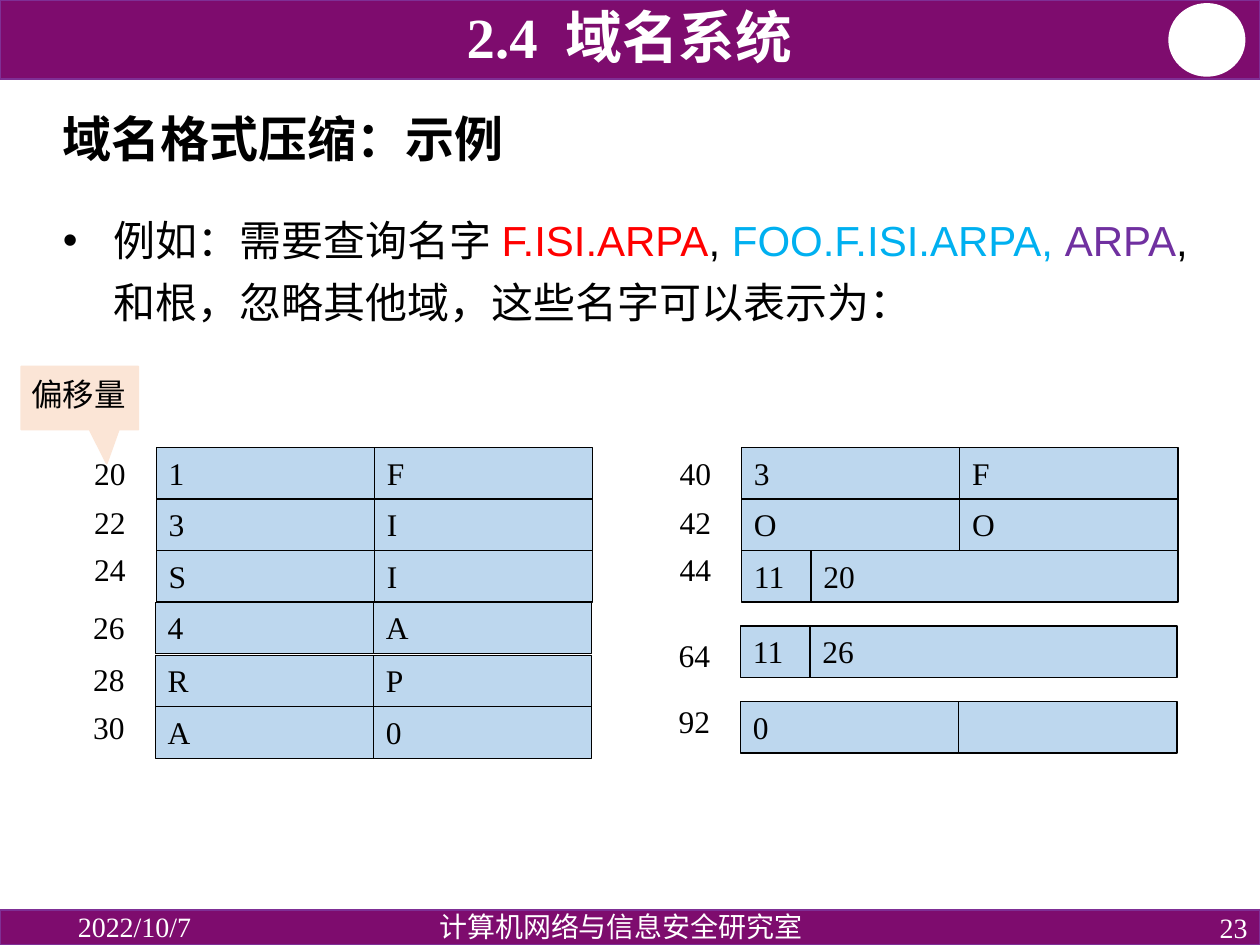
from dataclasses import dataclass

from lxml.etree import SubElement
from pptx import Presentation
from pptx.dml.color import RGBColor
from pptx.enum.shapes import MSO_SHAPE
from pptx.enum.text import MSO_ANCHOR, PP_ALIGN
from pptx.oxml.ns import qn
from pptx.shapes.autoshape import Shape
from pptx.slide import Slide
from pptx.text.text import _Paragraph as Paragraph
from pptx.util import Cm, Pt


@dataclass(frozen=True)
class Theme:
    purple: str = "7E0C6E"
    purple_line: str = "7F2F95"
    white: str = "FFFFFF"
    black: str = "000000"
    cell: str = "BDD7EE"
    callout: str = "FBE5D6"
    red: str = "FF0000"
    blue: str = "00B0F0"
    violet: str = "7030A0"
    serif: str = "Times New Roman"
    sans: str = "Arial"
    chinese: str = "Noto Sans CJK SC"
    banner_size: float = 32.4
    heading_size: float = 28
    body_size: float = 24
    cell_size: float = 18
    footer_size: float = 16


@dataclass(frozen=True)
class Box:
    left: float
    top: float
    width: float
    height: float


@dataclass(frozen=True)
class TextStyle:
    size: float
    color: str
    font: str
    bold: bool = False


@dataclass(frozen=True)
class MemoryRow:
    offset: str
    left: float
    top: float
    label_top: float
    values: tuple[str, str]
    widths: tuple[float, float]


THEME = Theme()
BANNER = TextStyle(THEME.banner_size, THEME.white, THEME.serif, True)
HEADING = TextStyle(THEME.heading_size, THEME.black, THEME.serif, True)
BODY = TextStyle(THEME.body_size, THEME.black, THEME.serif)
CELL = TextStyle(THEME.cell_size, THEME.black, THEME.serif)
NOTE = TextStyle(THEME.cell_size, THEME.black, THEME.chinese)
FOOTER = TextStyle(THEME.footer_size, THEME.white, THEME.serif)

ROW_HEIGHT = 1.04
LABEL_WIDTH = 1.5
FIRST_ROW = 9.02
HALVES = (4.4, 4.4)
POINTER = (1.4, 7.4)
ROWS = (
    MemoryRow("20", 3.15, FIRST_ROW, 9.02, ("1", "F"), HALVES),
    MemoryRow("22", 3.15, FIRST_ROW + ROW_HEIGHT, 10.01, ("3", "I"), HALVES),
    MemoryRow("24", 3.15, FIRST_ROW + 2 * ROW_HEIGHT, 10.97, ("S", "I"), HALVES),
    MemoryRow("26", 3.13, FIRST_ROW + 3 * ROW_HEIGHT, 12.14, ("4", "A"), HALVES),
    MemoryRow("28", 3.13, 13.21, 13.18, ("R", "P"), HALVES),
    MemoryRow("30", 3.13, 13.21 + ROW_HEIGHT, 14.15, ("A", "0"), HALVES),
    MemoryRow("40", 14.95, FIRST_ROW, 9.03, ("3", "F"), HALVES),
    MemoryRow("42", 14.95, FIRST_ROW + ROW_HEIGHT, 10.02, ("O", "O"), HALVES),
    MemoryRow("44", 14.95, FIRST_ROW + 2 * ROW_HEIGHT, 10.97, ("11", "20"), POINTER),
    MemoryRow("64", 14.93, 12.62, 12.7, ("11", "26"), POINTER),
    MemoryRow("92", 14.93, 14.14, 14.02, ("0", ""), HALVES),
)


def add_run(paragraph: Paragraph, text: str, style: TextStyle) -> None:
    run = paragraph.add_run()
    run.text = text
    run.font.size = Pt(style.size)
    run.font.bold = style.bold
    run.font.name = style.font
    run.font.color.rgb = RGBColor.from_string(style.color)
    SubElement(run.font._element, qn("a:ea"), typeface=THEME.chinese)


def add_panel(slide: Slide, kind: MSO_SHAPE, box: Box, fill: str, line: str,
              line_width: float = 1) -> Shape:
    shape = slide.shapes.add_shape(
        kind, Cm(box.left), Cm(box.top), Cm(box.width), Cm(box.height))
    shape.shadow.inherit = False
    shape.fill.solid()
    shape.fill.fore_color.rgb = RGBColor.from_string(fill)
    shape.line.color.rgb = RGBColor.from_string(line)
    shape.line.width = Pt(line_width)
    return shape


def add_text(slide: Slide, box: Box, runs: list[tuple[str, TextStyle]],
             align: PP_ALIGN = PP_ALIGN.LEFT,
             anchor: MSO_ANCHOR = MSO_ANCHOR.TOP) -> Paragraph:
    shape = slide.shapes.add_textbox(
        Cm(box.left), Cm(box.top), Cm(box.width), Cm(box.height))
    shape.text_frame.word_wrap = True
    shape.text_frame.vertical_anchor = anchor
    paragraph = shape.text_frame.paragraphs[0]
    paragraph.alignment = align
    for text, style in runs:
        add_run(paragraph, text, style)
    return paragraph


def add_frame(slide: Slide) -> None:
    add_panel(slide, MSO_SHAPE.RECTANGLE, Box(0, 0, 25.4, 1.6),
              THEME.purple, THEME.purple_line)
    add_panel(slide, MSO_SHAPE.OVAL, Box(23.57, 0.08, 1.52, 1.45),
              THEME.white, THEME.white)
    add_panel(slide, MSO_SHAPE.RECTANGLE, Box(0, 18.34, 25.4, 0.71),
              THEME.purple, THEME.purple_line)
    add_text(slide, Box(1.32, 18.34, 5.72, 0.66), [("2022/10/7", FOOTER)],
             anchor=MSO_ANCHOR.MIDDLE)
    add_text(slide, Box(19.69, 18.34, 5.71, 0.71), [("23", FOOTER)],
             PP_ALIGN.RIGHT, MSO_ANCHOR.MIDDLE)
    laboratory = add_text(slide, Box(6.83, 18.29, 11.38, 0.71),
                          [("计算机网络与信息安全研究室", FOOTER)], PP_ALIGN.CENTER)
    laboratory.line_spacing = 0.9
    laboratory.space_before = Pt(10)


def add_headings(slide: Slide) -> None:
    heading = add_text(slide, Box(1.02, 1.7, 23.37, 2.31),
                       [("域名格式压缩：示例", HEADING)], anchor=MSO_ANCHOR.MIDDLE)
    heading.line_spacing = 0.9
    banner = add_text(slide, Box(1.83, 0.1, 21.72, 1.42), [("2.4 域名系统", BANNER)],
                      PP_ALIGN.CENTER, MSO_ANCHOR.BOTTOM)
    banner.line_spacing = 0.8


def add_example(slide: Slide) -> None:
    def sans(color: str) -> TextStyle:
        return TextStyle(THEME.body_size, color, THEME.sans)

    paragraph = add_text(slide, Box(1.02, 3.99, 23.34, 2.62), [
        ("例如：需要查询名字", BODY),
        ("F.ISI.ARPA", sans(THEME.red)),
        (", ", sans(THEME.black)),
        ("FOO.F.ISI.ARPA, ", sans(THEME.blue)),
        ("ARPA", sans(THEME.violet)),
        (", 和根，忽略其他域，这些名字可以表示为：", sans(THEME.black)),
    ])
    paragraph.line_spacing = Pt(35)
    paragraph.space_before = Pt(6)
    properties = paragraph._p.get_or_add_pPr()
    properties.set("marL", str(Cm(1.02)))
    properties.set("indent", str(-Cm(1.02)))
    SubElement(properties, qn("a:buFont"), typeface=THEME.sans)
    SubElement(properties, qn("a:buChar"), char="•")


def add_memory_row(slide: Slide, row: MemoryRow) -> None:
    add_text(slide, Box(row.left - LABEL_WIDTH, row.label_top, LABEL_WIDTH, 1.02),
             [(row.offset, CELL)])
    left = row.left
    for value, width in zip(row.values, row.widths):
        cell = add_panel(slide, MSO_SHAPE.RECTANGLE,
                         Box(left, row.top, width, ROW_HEIGHT),
                         THEME.cell, THEME.black, 0.75)
        cell.text_frame.vertical_anchor = MSO_ANCHOR.TOP
        if value:
            paragraph = cell.text_frame.paragraphs[0]
            paragraph.alignment = PP_ALIGN.LEFT
            add_run(paragraph, value, CELL)
        left += width


def add_offset_callout(slide: Slide) -> None:
    callout = add_panel(slide, MSO_SHAPE.RECTANGULAR_CALLOUT,
                        Box(0.43, 7.39, 2.36, 1.27), THEME.callout, THEME.callout)
    callout.adjustments[0] = 0.23
    callout.adjustments[1] = 1.04
    add_text(slide, Box(0.33, 7.44, 2.51, 1.04), [("偏移量", NOTE)], PP_ALIGN.CENTER)


def main() -> None:
    presentation = Presentation()
    presentation.slide_width = Cm(25.4)
    presentation.slide_height = Cm(19.05)
    slide = presentation.slides.add_slide(presentation.slide_layouts[6])
    add_frame(slide)
    add_headings(slide)
    add_example(slide)
    for row in ROWS:
        add_memory_row(slide, row)
    add_offset_callout(slide)
    presentation.save("out.pptx")


if __name__ == "__main__":
    main()
